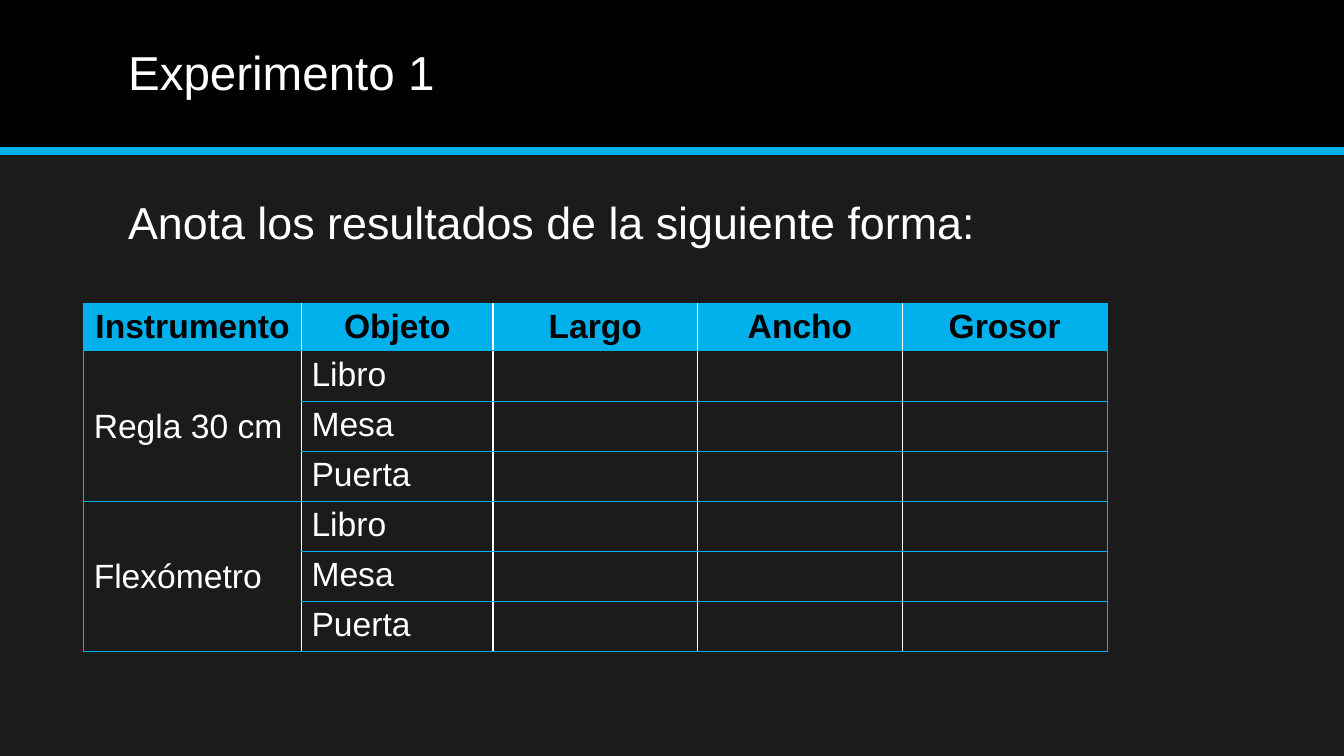
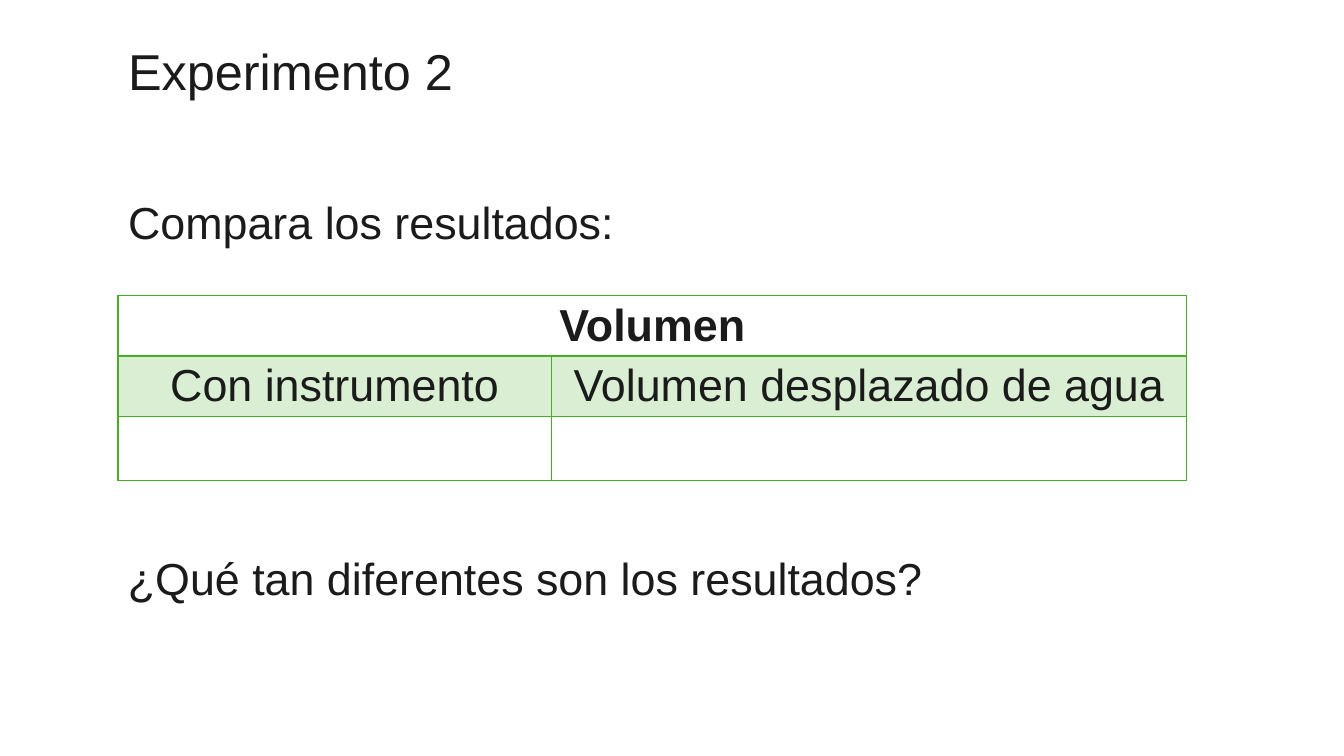
from dataclasses import dataclass

import lxml.etree
import pptx
import pptx.dml.color
import pptx.enum.shapes
import pptx.enum.text
import pptx.oxml
import pptx.oxml.ns
import pptx.util

Inches = pptx.util.Inches
Pt = pptx.util.Pt
qn = pptx.oxml.ns.qn
LEFT = pptx.enum.text.PP_ALIGN.LEFT
CENTER = pptx.enum.text.PP_ALIGN.CENTER
TOP = pptx.enum.text.MSO_ANCHOR.TOP
MIDDLE = pptx.enum.text.MSO_ANCHOR.MIDDLE


@dataclass(frozen=True)
class Theme:
    background: str
    text: str
    accent: str
    title_size: int
    table_size: int
    grid_width: float
    body_size: int = 32
    font: str = "Arial"
    black: str = "000000"
    band_line: int = 6


DARK = Theme("1B1B1B", "FFFFFF", "00B0EA", 34, 24, 0.5)
LIGHT = Theme("FFFFFF", "1B1B1B", "45AE22", 36, 32, 1)
SLIDE_WIDTH, SLIDE_HEIGHT = 13.33, 7.5
TITLE_BOX = (1.17, 0.14, 11, 1.2)
BODY_BOX = (1.17, 1.88, 11, 1.2)
BAND_BOX = (0, 0, SLIDE_WIDTH, 1.5)


def rgb(value):
    return pptx.dml.color.RGBColor.from_string(value)


def paint(fill, color):
    fill.solid()
    fill.fore_color.rgb = rgb(color)


def write(frame, text, theme, size, color, align=LEFT, bold=False):
    frame.text = text
    paragraph = frame.paragraphs[0]
    paragraph.alignment = align
    paragraph.space_before = Pt(0)
    for run in paragraph.runs:
        run.font.name = theme.font
        run.font.size = Pt(size)
        run.font.bold = bold
        run.font.color.rgb = rgb(color)
    return paragraph


def place_text(holder, box, text, theme, size, anchor=TOP):
    holder.left, holder.top, holder.width, holder.height = map(Inches, box)
    frame = holder.text_frame
    frame.word_wrap = True
    frame.auto_size = pptx.enum.text.MSO_AUTO_SIZE.NONE
    frame.vertical_anchor = anchor
    return write(frame, text, theme, size, theme.text)


def start_slide(deck, theme, title, lead):
    slide = deck.slides.add_slide(deck.slide_layouts[1])
    paint(slide.background.fill, theme.background)
    heading = place_text(slide.shapes.title, TITLE_BOX, title, theme, theme.title_size, MIDDLE)
    heading.line_spacing = 0.9
    intro = place_text(slide.placeholders[1], BODY_BOX, lead, theme, theme.body_size)
    properties = intro._p.get_or_add_pPr()
    properties.set("marL", "0")
    properties.set("indent", "0")
    lxml.etree.SubElement(properties, qn("a:buNone"))
    return slide


def add_title_band(slide, box, theme):
    left, top, width, height = map(Inches, box)
    band = slide.shapes.add_shape(
        pptx.enum.shapes.MSO_SHAPE.RECTANGLE, left, top, width, height)
    band.shadow.inherit = False
    paint(band.fill, theme.black)
    band.line.fill.background()
    edge = slide.shapes.add_connector(
        pptx.enum.shapes.MSO_CONNECTOR.STRAIGHT, left, top + height, left + width, top + height)
    edge.line.color.rgb = rgb(theme.accent)
    edge.line.width = Pt(theme.band_line)
    lxml.etree.SubElement(edge._element.spPr, qn("a:effectLst"))
    for position, part in enumerate((band, edge), start=2):
        slide.shapes._spTree.insert(position, part._element)


def set_border(cell, side, color, width):
    properties = cell._tc.get_or_add_tcPr()
    line = pptx.oxml.parse_xml(
        f'<a:{side} xmlns:a="http://schemas.openxmlformats.org/drawingml/2006/main"'
        f' w="{int(Pt(width))}"><a:solidFill><a:srgbClr val="{color}"/></a:solidFill></a:{side}>')
    borders = [child for child in properties if child.tag.startswith(qn("a:ln"))]
    properties.insert(len(borders), line)


def add_grid(slide, box, columns, row_count, theme, sides):
    left, top, row_height = box
    grid = slide.shapes.add_table(
        row_count, len(columns), Inches(left), Inches(top),
        Inches(sum(columns)), Inches(row_height * row_count)).table
    for column, width in zip(grid.columns, columns):
        column.width = Inches(width)
    for row_index, row in enumerate(grid.rows):
        row.height = Inches(row_height)
        for column_index, cell in enumerate(row.cells):
            cell.margin_top, cell.margin_bottom = Inches(0.05), Inches(0.04)
            cell.fill.background()
            write(cell.text_frame, "", theme, theme.table_size, theme.text)
            cell.text_frame.paragraphs[0].font.size = Pt(theme.table_size)
            for side, width in sides(row_index, column_index):
                set_border(cell, side, theme.accent, width)
    return grid


def add_measurements(slide, box, theme):
    headers = ("Instrumento", "Objeto", "Largo", "Ancho", "Grosor")
    instruments = ("Regla 30 cm", "Flexómetro")
    objects = ("Libro", "Mesa", "Puerta")
    last_column = len(headers) - 1

    def sides(row, column):
        if column == 0:
            yield "lnL", theme.grid_width
        if column == last_column:
            yield "lnR", theme.grid_width
        yield "lnT", theme.grid_width
        yield "lnB", theme.grid_width

    row_count = 1 + len(instruments) * len(objects)
    grid = add_grid(slide, box, (2.16, 1.9, 2.03, 2.03, 2.03), row_count, theme, sides)
    for column, header in enumerate(headers):
        cell = grid.cell(0, column)
        paint(cell.fill, theme.accent)
        write(cell.text_frame, header, theme, theme.table_size, theme.black, CENTER, True)
    for group, instrument in enumerate(instruments):
        first = 1 + group * len(objects)
        name = grid.cell(first, 0)
        name.merge(grid.cell(first + len(objects) - 1, 0))
        name.vertical_anchor = MIDDLE
        write(name.text_frame, instrument, theme, theme.table_size, theme.text)
        for offset, measured in enumerate(objects):
            write(grid.cell(first + offset, 1).text_frame, measured,
                  theme, theme.table_size, theme.text)


def add_volumes(slide, box, theme):
    def sides(row, column):
        yield "lnL", theme.grid_width
        yield "lnR", theme.grid_width
        yield "lnT", 2 if row == 1 else theme.grid_width
        yield "lnB", 2 if row == 0 else theme.grid_width

    grid = add_grid(slide, box, (4.3, 6.3), 3, theme, sides)
    heading = grid.cell(0, 0)
    heading.merge(grid.cell(0, 1))
    write(heading.text_frame, "Volumen", theme, theme.table_size, theme.text, CENTER, True)
    for column, method in enumerate(("Con instrumento", "Volumen desplazado de agua")):
        cell = grid.cell(1, column)
        paint(cell.fill, theme.accent)
        tint = cell._tc.tcPr.find(qn("a:solidFill")).find(qn("a:srgbClr"))
        lxml.etree.SubElement(tint, qn("a:alpha")).set("val", "20000")
        write(cell.text_frame, method, theme, theme.table_size, theme.text, CENTER)


def build_experiment_1(deck):
    slide = start_slide(deck, DARK, "Experimento 1", "Anota los resultados de la siguiente forma:")
    add_title_band(slide, BAND_BOX, DARK)
    add_measurements(slide, (0.83, 3.01, 0.47), DARK)


def build_experiment_2(deck):
    slide = start_slide(deck, LIGHT, "Experimento 2", "Compara los resultados:")
    add_volumes(slide, (1.17, 2.93, 0.6), LIGHT)
    question_box = (1.17, 5.41, 11, 1.75)
    question = slide.shapes.add_textbox(*map(Inches, question_box))
    place_text(question, question_box, "¿Qué tan diferentes son los resultados?",
               LIGHT, LIGHT.body_size)


def main():
    deck = pptx.Presentation()
    deck.slide_width, deck.slide_height = Inches(SLIDE_WIDTH), Inches(SLIDE_HEIGHT)
    build_experiment_1(deck)
    build_experiment_2(deck)
    deck.save("out.pptx")


if __name__ == "__main__":
    main()
